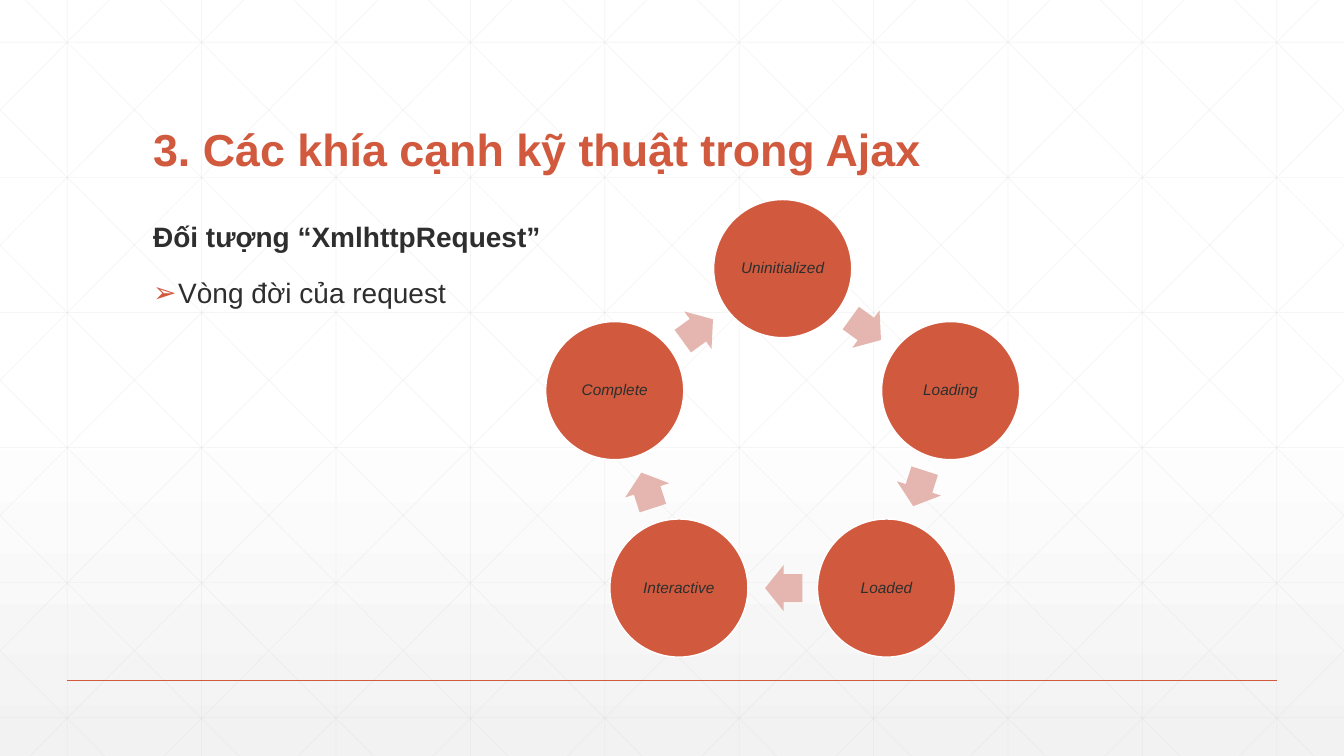
"""Build the slide on the request life cycle with a five-step ring."""
from dataclasses import dataclass
from math import cos, radians, sin

from lxml import etree
from pptx import Presentation
from pptx.dml.color import RGBColor
from pptx.enum.shapes import MSO_CONNECTOR, MSO_SHAPE
from pptx.enum.text import MSO_ANCHOR, PP_ALIGN
from pptx.oxml import parse_xml
from pptx.oxml.ns import nsdecls, qn
from pptx.util import Inches, Pt

STRAIGHT = MSO_CONNECTOR.STRAIGHT
OVAL, ARROW = MSO_SHAPE.OVAL, MSO_SHAPE.RIGHT_ARROW
TOP, MIDDLE, BOTTOM = MSO_ANCHOR.TOP, MSO_ANCHOR.MIDDLE, MSO_ANCHOR.BOTTOM
LEFT, CENTER = PP_ALIGN.LEFT, PP_ALIGN.CENTER

RUST = RGBColor(0xD1, 0x5A, 0x3E)
PINK = RGBColor(0xE5, 0xB5, 0xAF)
INK = RGBColor(0x2D, 0x2E, 0x2D)
GRID = RGBColor(0xD9, 0xD9, 0xD9)
WHITE = RGBColor(0xFF, 0xFF, 0xFF)
MIST = RGBColor(0xF2, 0xF2, 0xF2)

W, H = 13.333, 7.5
COL = W / 10
ROW, FIRST_ROW = 1.34, 0.42
DIAGONAL_START, DIAGONAL_RUN = 0.25, 7.455
TEXT_LEFT, TEXT_WIDTH = 1.42, 10.5
FONT = "Arial"


@dataclass(frozen=True)
class Ring:
    x: float
    y: float
    radius: float
    steps: tuple[str, ...]

    @property
    def turn(self) -> float:
        return 360 / len(self.steps)

    def at(self, angle: float, radius: float) -> tuple[float, float]:
        a = radians(angle)
        return self.x + radius * sin(a), self.y - radius * cos(a)


CYCLE = Ring(7.765, 4.417, 1.752,
             ("Uninitialized", "Loading", "Loaded", "Interactive", "Complete"))
CIRCLE = 1.37
ARROW_W, ARROW_H, ARROW_LAG = 0.37, 0.46, 0.4


def add_line(slide, x1: float, y1: float, x2: float, y2: float, *,
             color: RGBColor, width: float, opacity: int = 100) -> None:
    sp = slide.shapes.add_connector(
        STRAIGHT, Inches(x1), Inches(y1), Inches(x2), Inches(y2))
    sp.line.color.rgb, sp.line.width = color, Pt(width)
    if opacity < 100:
        clr = sp.line._get_or_add_ln().find(".//" + qn("a:srgbClr"))
        etree.SubElement(clr, qn("a:alpha"), val=str(opacity * 1000))
    etree.SubElement(sp.element.spPr, qn("a:effectLst"))


def add_centred(slide, kind, x: float, y: float, w: float, h: float, fill: RGBColor):
    sp = slide.shapes.add_shape(
        kind, Inches(x - w / 2), Inches(y - h / 2), Inches(w), Inches(h))
    sp.shadow.inherit = False
    sp.fill.solid()
    sp.fill.fore_color.rgb = fill
    sp.line.fill.background()
    return sp


def add_text_frame(slide, top: float, height: float, anchor):
    sp = slide.shapes.add_textbox(
        Inches(TEXT_LEFT), Inches(top), Inches(TEXT_WIDTH), Inches(height))
    tf = sp.text_frame
    tf.word_wrap, tf.vertical_anchor = True, anchor
    return tf


def write(p, text: str, *, size: float, color: RGBColor = INK, bold: bool = False,
          italic: bool = False, align=LEFT, before: float = 0) -> None:
    p.alignment, p.line_spacing, p.space_before = align, 0.9, Pt(before)
    r = p.add_run()
    r.text = text
    r.font.name, r.font.size, r.font.color.rgb = FONT, Pt(size), color
    r.font.bold, r.font.italic = bold, italic


def add_bullet(p, char: str, color: RGBColor, indent: float) -> None:
    pPr = p._p.get_or_add_pPr()
    pPr.set("marL", str(Inches(indent)))
    pPr.set("indent", str(-Inches(indent)))
    clr = etree.SubElement(pPr, qn("a:buClr"))
    etree.SubElement(clr, qn("a:srgbClr"), val=str(color))
    etree.SubElement(pPr, qn("a:buFont"), typeface=FONT)
    etree.SubElement(pPr, qn("a:buChar"), char=char)


def paint_background(slide) -> None:
    fill = slide.background.fill
    fill.gradient()
    fill.gradient_angle = 270
    stops = "".join(
        f'<a:gs pos="{pos * 1000}"><a:srgbClr val="{color}"/></a:gs>'
        for pos, color in ((0, WHITE), (53, WHITE), (100, MIST)))
    old = slide.element.find(".//" + qn("a:gsLst"))
    old.getparent().replace(
        old, parse_xml(f'<a:gsLst {nsdecls("a")}>{stops}</a:gsLst>'))


def draw_lattice(slide) -> None:
    slope = H / DIAGONAL_RUN
    lines = [((k + 0.5) * COL, 0, (k + 0.5) * COL, H) for k in range(10)]
    lines += [(0, FIRST_ROW + k * ROW, W, FIRST_ROW + k * ROW) for k in range(6)]
    for k in range(-5, 10):
        start = DIAGONAL_START + k * COL
        x1, x2 = max(start, 0), min(start + DIAGONAL_RUN, W)
        y1, y2 = (x1 - start) * slope, (x2 - start) * slope
        lines += [(x1, y1, x2, y2), (W - x1, y1, W - x2, y2)]
    for ends in lines:
        add_line(slide, *ends, color=GRID, width=0.5, opacity=25)


def draw_ring(slide, ring: Ring) -> None:
    for k, step in enumerate(ring.steps):
        angle = k * ring.turn
        sp = add_centred(slide, OVAL, *ring.at(angle, ring.radius), CIRCLE, CIRCLE, RUST)
        sp.line.color.rgb, sp.line.width = WHITE, Pt(1)
        tf = sp.text_frame
        tf.word_wrap, tf.vertical_anchor = True, MIDDLE
        tf.margin_left = tf.margin_right = tf.margin_top = tf.margin_bottom = Inches(0.02)
        write(tf.paragraphs[0], step, size=11, italic=True, align=CENTER)

        heading = angle + ring.turn / 2
        chord = ring.radius * cos(radians(ring.turn / 2))
        arrow = add_centred(slide, ARROW, *ring.at(heading - ARROW_LAG, chord),
                            ARROW_W, ARROW_H, PINK)
        arrow.adjustments[0], arrow.adjustments[1] = 0.6, 0.5
        arrow.rotation = heading


def main() -> None:
    prs = Presentation()
    prs.slide_width, prs.slide_height = Inches(W), Inches(H)
    slide = prs.slides.add_slide(prs.slide_layouts[6])
    paint_background(slide)
    draw_lattice(slide)
    add_line(slide, COL / 2, 0.9 * H, W - COL / 2, 0.9 * H, color=RUST, width=1)

    title = add_text_frame(slide, 0.55, 1.25, BOTTOM)
    write(title.paragraphs[0], "3. Các khía cạnh kỹ thuật trong Ajax",
          size=32, color=RUST, bold=True)
    body = add_text_frame(slide, 2.17, 4.17, TOP)
    write(body.paragraphs[0], "Đối tượng “XmlhttpRequest”", size=20, bold=True, before=18)
    p = body.add_paragraph()
    write(p, "Vòng đời của request", size=20, before=18)
    add_bullet(p, "➢", RUST, 0.25)

    draw_ring(slide, CYCLE)
    prs.save("out.pptx")


main()
